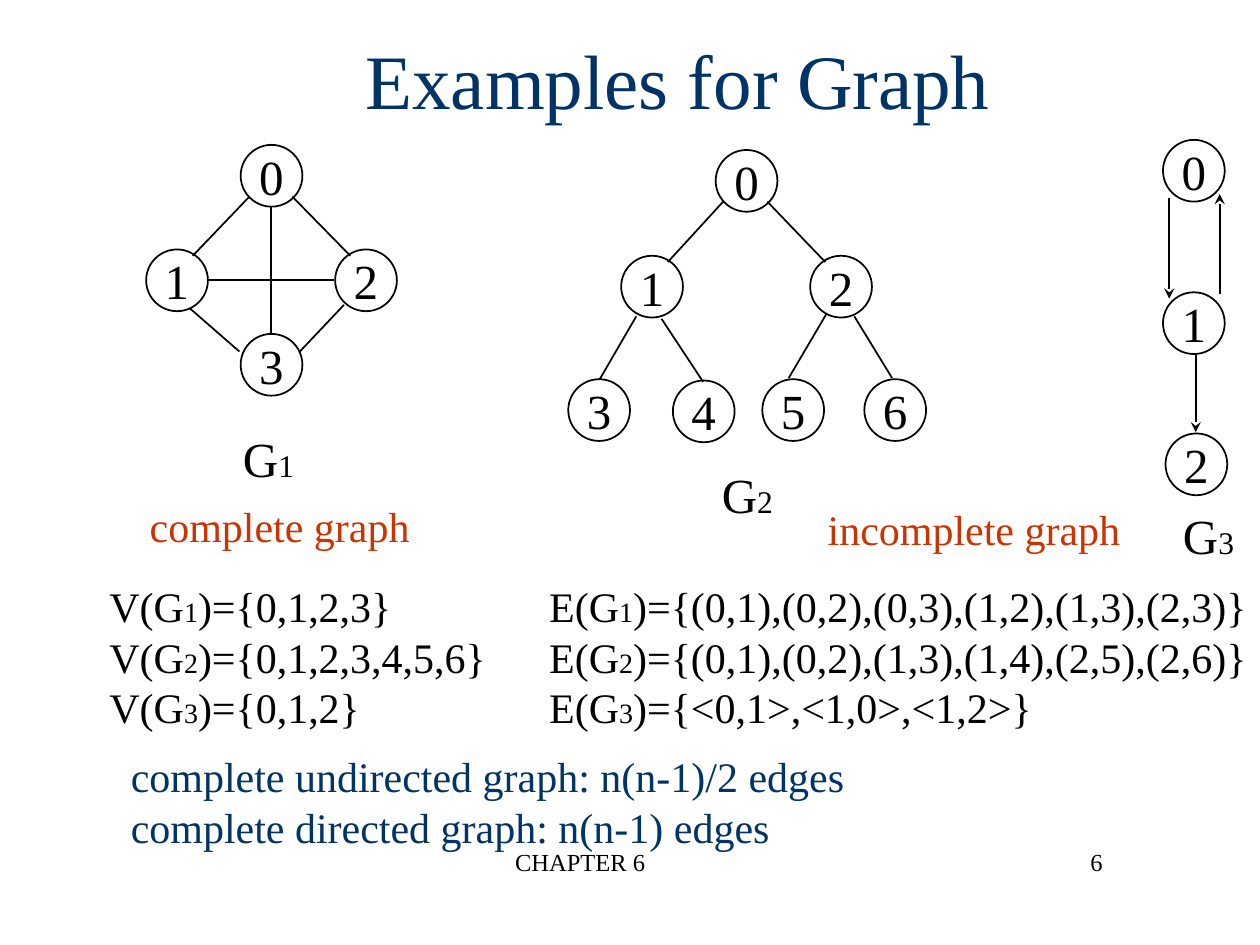
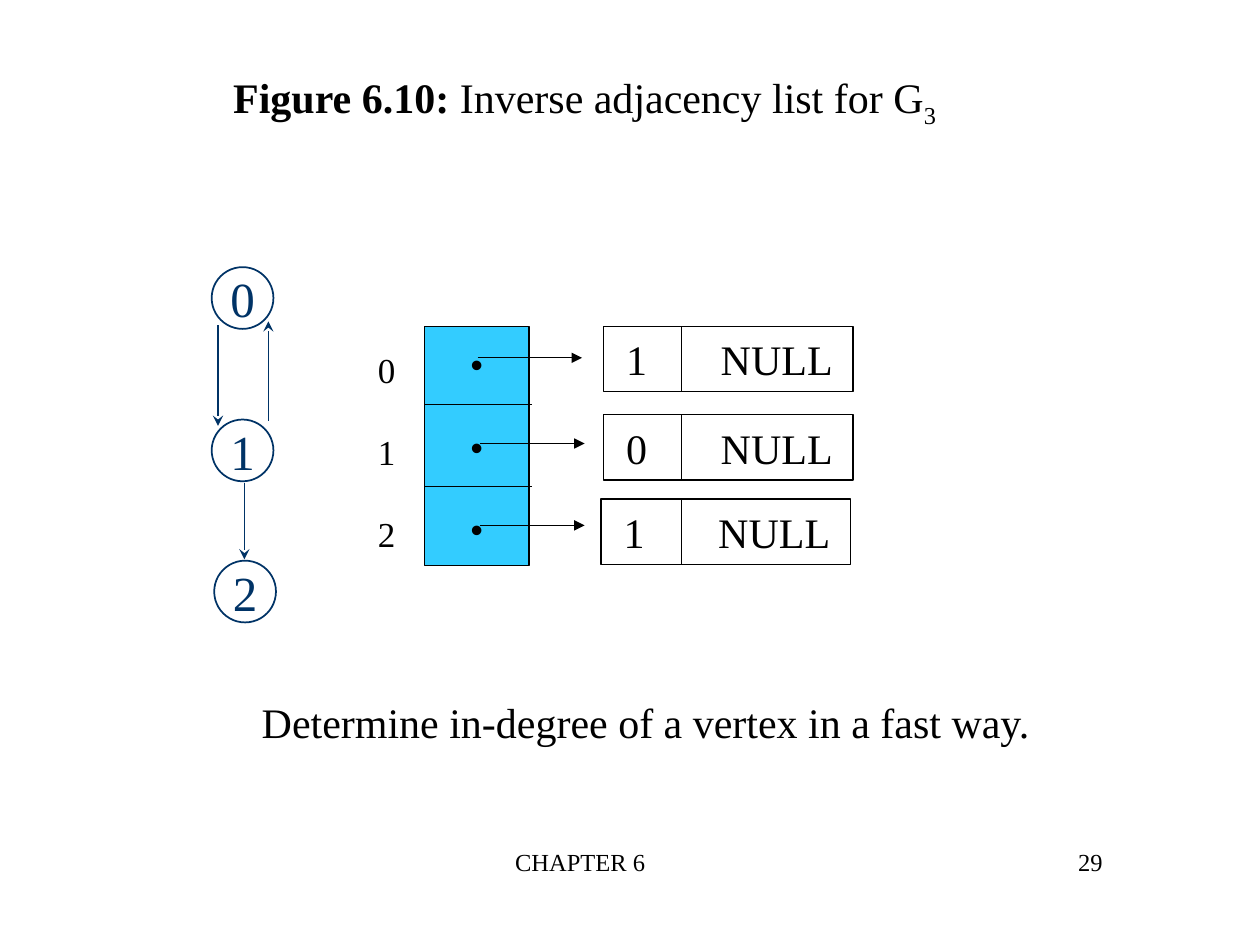
"""Build two lecture slides on graphs and adjacency lists."""
import pptx
import pptx.dml.color
import pptx.enum.shapes
import pptx.enum.text
import pptx.oxml
import pptx.oxml.ns
import pptx.util

PX = 9144
COLORS = {"ink": "000000", "navy": "003366", "red": "CC3300", "cyan": "33CCFF", "paper": "FFFFFF"}
SERIF = "Times New Roman"
SHAPES = pptx.enum.shapes.MSO_SHAPE
ALIGN = pptx.enum.text.PP_ALIGN
ANCHOR = pptx.enum.text.MSO_ANCHOR
NODE_SIZE = 49
TITLE_ONLY = 5


def rgb(name):
    return pptx.dml.color.RGBColor.from_string(COLORS[name])


def px(*lengths):
    return [pptx.util.Emu(length * PX) for length in lengths]


def apply(target, values):
    for name, value in values.items():
        setattr(target, name, value)


class Deck:
    def __init__(self):
        self.presentation = pptx.Presentation()
        self.presentation.slide_width, self.presentation.slide_height = px(1000, 750)
        self.slide = None

    def add_slide(self, number):
        layout = self.presentation.slide_layouts[TITLE_ONLY]
        self.slide = self.presentation.slides.add_slide(layout)
        footer = {"sizes": (14,), "anchor": ANCHOR.TOP, "wrap": True}
        self.text((302, 667, 317, 50), ["CHAPTER 6"], align=ALIGN.CENTER, **footer)
        self.text((677, 667, 208, 50), [number], align=ALIGN.RIGHT, **footer)

    def set_rows(self, shape, rows, sizes=(24,), color="ink", font=SERIF, align=ALIGN.LEFT,
                 anchor=ANCHOR.MIDDLE, wrap=False, gap=0, tab=None, margins=(10, 10)):
        frame = shape.text_frame
        left, right, top, bottom = px(*margins, 5, 5)
        apply(frame, {
            "word_wrap": wrap, "auto_size": pptx.enum.text.MSO_AUTO_SIZE.NONE,
            "vertical_anchor": anchor, "margin_left": left, "margin_right": right,
            "margin_top": top, "margin_bottom": bottom,
        })
        for index, row in enumerate(rows):
            paragraph = frame.add_paragraph() if index else frame.paragraphs[0]
            paragraph.alignment = align
            if index and gap:
                paragraph.space_before = pptx.util.Pt(gap)
            if tab:
                tabs = pptx.oxml.parse_xml(
                    f'<a:tabLst {pptx.oxml.ns.nsdecls("a")}><a:tab pos="{tab * PX}" algn="l"/></a:tabLst>')
                paragraph._p.get_or_add_pPr().append(tabs)
            for part, content in enumerate([row] if isinstance(row, str) else row):
                run = paragraph.add_run()
                run.text = content
                apply(run.font, {"name": font, "size": pptx.util.Pt(sizes[part % len(sizes)])})
                run.font.color.rgb = rgb(color)
        return frame

    def title(self, box, parts, **style):
        shape = self.slide.shapes.title
        apply(shape, dict(zip(("left", "top", "width", "height"), px(*box))))
        return self.set_rows(shape, [parts], align=ALIGN.CENTER, wrap=True, **style)

    def text(self, box, rows, **style):
        self.set_rows(self.slide.shapes.add_textbox(*px(*box)), rows, **style)

    def shape(self, kind, box, rows, fill="paper", line="ink", weight=0.75, **style):
        shape = self.slide.shapes.add_shape(kind, *px(*box))
        shape.shadow.inherit = False
        shape.fill.solid()
        shape.fill.fore_color.rgb = rgb(fill)
        shape.line.color.rgb = rgb(line)
        shape.line.width = pptx.util.Pt(weight)
        self.set_rows(shape, rows, **style)

    def node(self, left, top, label, color="ink"):
        self.shape(SHAPES.OVAL, (left, top, NODE_SIZE, NODE_SIZE), [label], line=color,
                   weight=1, color=color, sizes=(28,), align=ALIGN.CENTER)

    def line(self, ends, color="ink", weight=0.75, arrow=None):
        connector = self.slide.shapes.add_connector(
            pptx.enum.shapes.MSO_CONNECTOR.STRAIGHT, *px(*ends))
        connector.line.color.rgb = rgb(color)
        connector.line.width = pptx.util.Pt(weight)
        namespace = pptx.oxml.ns.nsdecls("a")
        if arrow:
            head = pptx.oxml.parse_xml(f'<a:tailEnd {namespace} type="{arrow}"/>')
            connector.line._get_or_add_ln().append(head)
        connector._element.spPr.append(pptx.oxml.parse_xml(f"<a:effectLst {namespace}/>"))

    def graph(self, nodes, edges):
        for label, (left, top) in enumerate(nodes):
            self.node(left, top, str(label))
        for edge in edges:
            self.line(edge, weight=1)

    def directed_graph(self, left, top, color):
        for label, (x, y) in enumerate([(0, 0), (0, 121), (2, 233)]):
            self.node(left + x, top + y, str(label), color)
        for x, start, end in [(26, 171, 232), (45, 122, 43), (5, 46, 126)]:
            self.line((left + x, top + start, left + x, top + end), color, 1, "stealth")


def build_graph_examples(deck):
    deck.add_slide("6")
    deck.title((76, 0, 924, 125), ["Examples for Graph"], sizes=(44,), color="navy")
    deck.graph(
        [(191, 115), (116, 198), (266, 198), (191, 265)],
        [(215, 164, 215, 264), (165, 222, 265, 222), (198, 156, 153, 203),
         (232, 156, 278, 203), (151, 245, 190, 279), (273, 242, 238, 279)])
    deck.directed_graph(923, 111, "ink")
    deck.graph(
        [(568, 119), (493, 203), (643, 203), (451, 301), (534, 302), (605, 301), (686, 301)],
        [(574, 160, 530, 208), (609, 160, 655, 208), (505, 251, 476, 301),
         (525, 253, 558, 303), (656, 249, 626, 300), (678, 251, 708, 300)])
    for number, left, top in [("1", 183, 335), ("2", 563, 364), ("3", 929, 396)]:
        deck.text((left, top, 61, 57), [("G", number)], sizes=(28, 18), anchor=ANCHOR.TOP)
    sets = [
        ("1", "{0,1,2,3}", "{(0,1),(0,2),(0,3),(1,2),(1,3),(2,3)}"),
        ("2", "{0,1,2,3,4,5,6}", "{(0,1),(0,2),(1,3),(1,4),(2,5),(2,6)}"),
        ("3", "{0,1,2}", "{<0,1>,<1,0>,<1,2>}"),
    ]
    rows = [("V(G", number, f")={vertices}\tE(G", number, f")={edges}")
            for number, vertices, edges in sets]
    deck.text((77, 456, 923, 130), rows, sizes=(24, 16), anchor=ANCHOR.TOP,
              wrap=True, tab=349, margins=(10, 0))
    deck.text((94, 591, 586, 90), ["complete undirected graph: n(n-1)/2 edges",
                                   "complete directed graph: n(n-1) edges"], color="navy")
    for box, label in [((109, 392, 226, 50), "complete graph"),
                       ((647, 395, 252, 50), "incomplete graph")]:
        deck.text(box, [label], color="red", align=ALIGN.CENTER)


def build_inverse_adjacency_list(deck):
    deck.add_slide("29")
    frame = deck.title((39, 34, 850, 91),
                       ["Figure 6.10: ", "Inverse adjacency list for G", "3"])
    caption, _, subscript = frame.paragraphs[0].runs
    caption.font.bold = True
    subscript._r.get_or_add_rPr().set("baseline", "-25000")

    deck.shape(SHAPES.RECTANGLE, (337, 259, 83, 190), ["•"] * 3, fill="cyan",
               sizes=(20,), font="Arial", align=ALIGN.CENTER, gap=23)
    for top in (321, 386):
        deck.line((337, top, 422, top))
    for left, top in [(379, 284), (381, 352), (381, 417)]:
        deck.line((left, top, left + 83, top), arrow="triangle")
    deck.text((290, 270, 34, 177), ["0", "1", "2"], sizes=(20,), gap=23)

    for left, top, vertex in [(479, 259, "1"), (479, 329, "0"), (477, 396, "1")]:
        deck.shape(SHAPES.RECTANGLE, (left, top, 198, 52), [f"{vertex}\tNULL"],
                   wrap=True, tab=75, margins=(18, 5))
        deck.line((541, top, 541, top + 52))
    deck.directed_graph(168, 212, "navy")
    deck.text((197, 548, 631, 50), ["Determine in-degree of a vertex in a fast way."],
              align=ALIGN.CENTER)


def main():
    deck = Deck()
    build_graph_examples(deck)
    build_inverse_adjacency_list(deck)
    deck.presentation.save("out.pptx")


if __name__ == "__main__":
    main()
